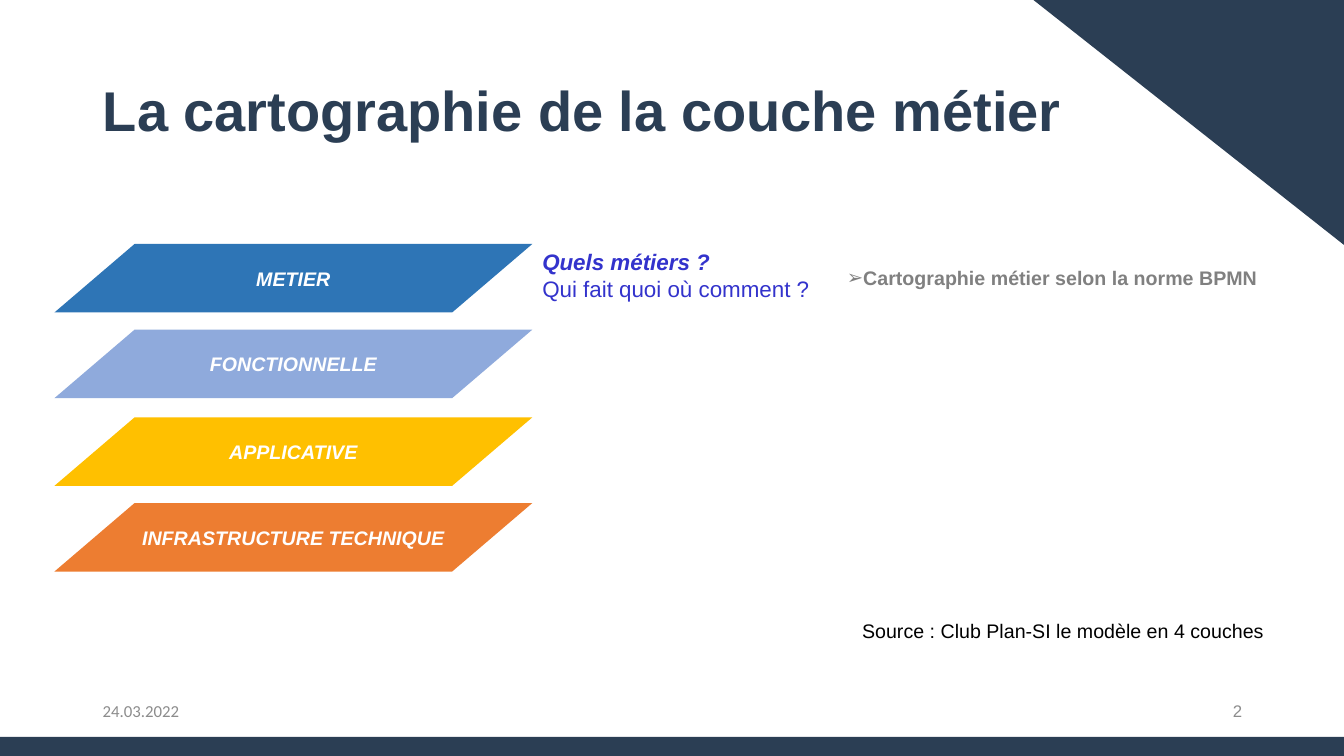
from lxml.etree import SubElement
from pptx import Presentation
from pptx.dml.color import RGBColor
from pptx.enum.shapes import MSO_SHAPE
from pptx.enum.text import MSO_ANCHOR, MSO_AUTO_SIZE, PP_ALIGN
from pptx.oxml.ns import qn
from pptx.util import Inches, Pt

COLORS = {
    "navy": "2B3E54",
    "footer": "8C8C8C",
    "question": "3333CC",
    "standard": "808080",
    "black": "000000",
    "white": "FFFFFF",
    "business": "2E75B6",
    "functional": "8FAADC",
    "application": "FFC000",
    "infrastructure": "ED7D31",
}


def write_text(shape, *lines, size, color, font="Arial", bold=False, italic=False,
               align=PP_ALIGN.LEFT, anchor=MSO_ANCHOR.MIDDLE, wrap=True):
    frame = shape.text_frame
    frame.auto_size = MSO_AUTO_SIZE.NONE
    frame.word_wrap = wrap
    frame.vertical_anchor = anchor
    frame.text = "\n".join(lines)
    for paragraph in frame.paragraphs:
        paragraph.alignment = align
        text_font = paragraph.runs[0].font
        text_font.name = font
        text_font.size = Pt(size)
        text_font.bold = bold
        text_font.italic = italic
        text_font.color.rgb = RGBColor.from_string(COLORS[color])
    return frame


def add_block(kind, left, top, width, height, color):
    shape = slide.shapes.add_shape(
        kind, Inches(left), Inches(top), Inches(width), Inches(height))
    shape.shadow.inherit = False
    shape.fill.solid()
    shape.fill.fore_color.rgb = RGBColor.from_string(COLORS[color])
    shape.line.fill.background()
    return shape


presentation = Presentation()
presentation.slide_width = Inches(13.33)
presentation.slide_height = Inches(7.5)
slide = presentation.slides.add_slide(presentation.slide_layouts[5])

corner = add_block(MSO_SHAPE.RIGHT_TRIANGLE, 10.25, 0, 3.08, 2.43, "navy")
corner.rotation = 180
add_block(MSO_SHAPE.RECTANGLE, 0, 7.31, 13.33, 0.19, "navy")

title = slide.shapes.title
title.left, title.top = Inches(0.92), Inches(0.4)
title.width, title.height = Inches(9.8), Inches(1.45)
write_text(title, "La cartographie de la couche métier", size=40, color="navy", bold=True)
title.text_frame.paragraphs[0].line_spacing = 0.9

date = slide.shapes.add_textbox(Inches(0.92), Inches(6.85), Inches(3), Inches(0.4))
write_text(date, "24.03.2022", size=12, color="footer", font="Calibri")

page_number = slide.shapes.add_textbox(Inches(9.42), Inches(6.85), Inches(3), Inches(0.4))
write_text(page_number, "2", size=12, color="footer", align=PP_ALIGN.RIGHT)

source = slide.shapes.add_textbox(Inches(8.28), Inches(6.05), Inches(4.53), Inches(0.41))
write_text(source, "Source : Club Plan-SI le modèle en 4 couches", size=14, color="black",
           align=PP_ALIGN.CENTER)

questions = slide.shapes.add_textbox(Inches(5.28), Inches(2.41), Inches(3.02), Inches(0.64))
question_frame = write_text(questions, "Quels métiers ?", "Qui fait quoi où comment ?",
                            size=16, color="question", anchor=MSO_ANCHOR.TOP)
main_question = question_frame.paragraphs[0].runs[0]
main_question.font.bold = True
main_question.font.italic = True

standard = slide.shapes.add_textbox(Inches(8.3), Inches(2.59), Inches(4.51), Inches(0.34))
standard_frame = write_text(standard, "Cartographie métier selon la norme BPMN", size=14,
                            color="standard", bold=True, anchor=MSO_ANCHOR.TOP)
properties = standard_frame.paragraphs[0]._p.get_or_add_pPr()
SubElement(properties, qn("a:buFont")).set("typeface", "Arial")
SubElement(properties, qn("a:buChar")).set("char", "➢")

layers = [
    ("METIER", 2.42, "business"),
    ("FONCTIONNELLE", 3.27, "functional"),
    ("APPLICATIVE", 4.14, "application"),
    ("INFRASTRUCTURE TECHNIQUE", 4.99, "infrastructure"),
]
for name, top, color in layers:
    layer = add_block(MSO_SHAPE.PARALLELOGRAM, 0.54, top, 4.74, 0.68, color)
    layer.adjustments[0] = 1.17
    write_text(layer, name, size=14, color="white", bold=True, italic=True,
               align=PP_ALIGN.CENTER, wrap=False)

presentation.save("out.pptx")
